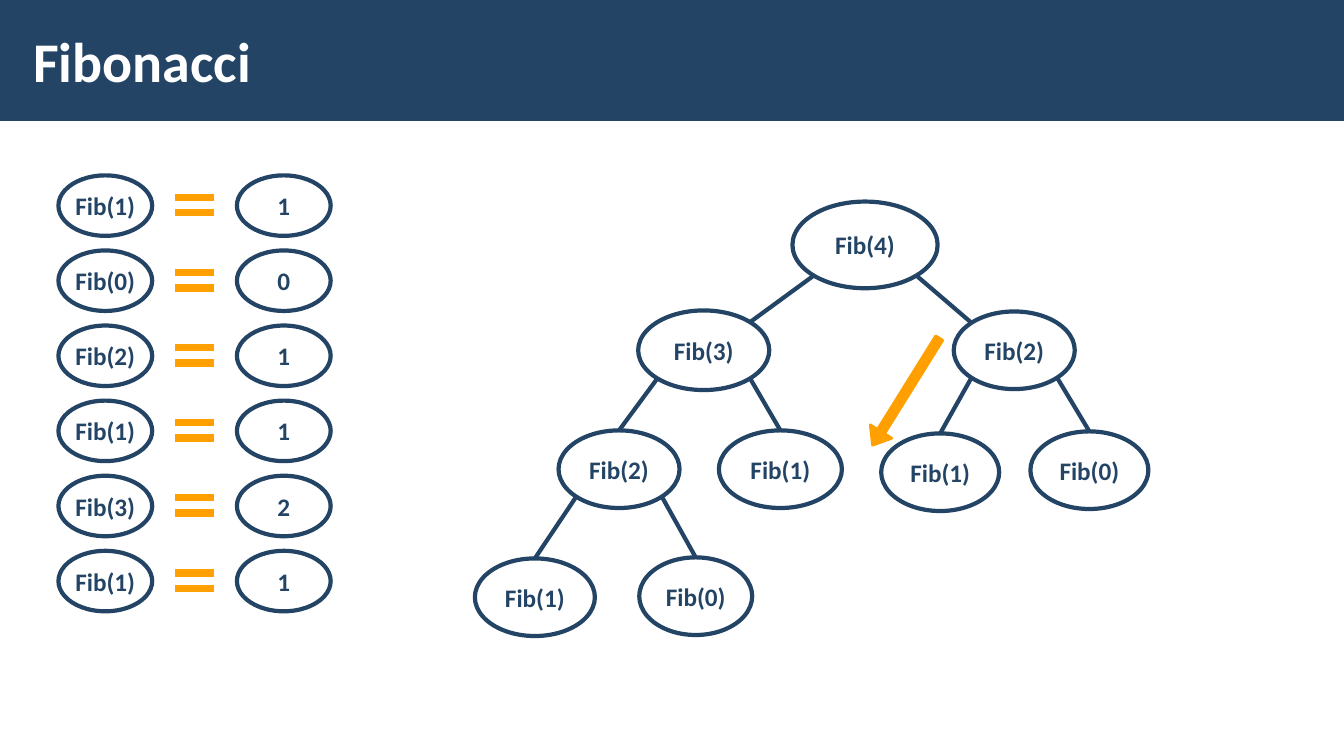
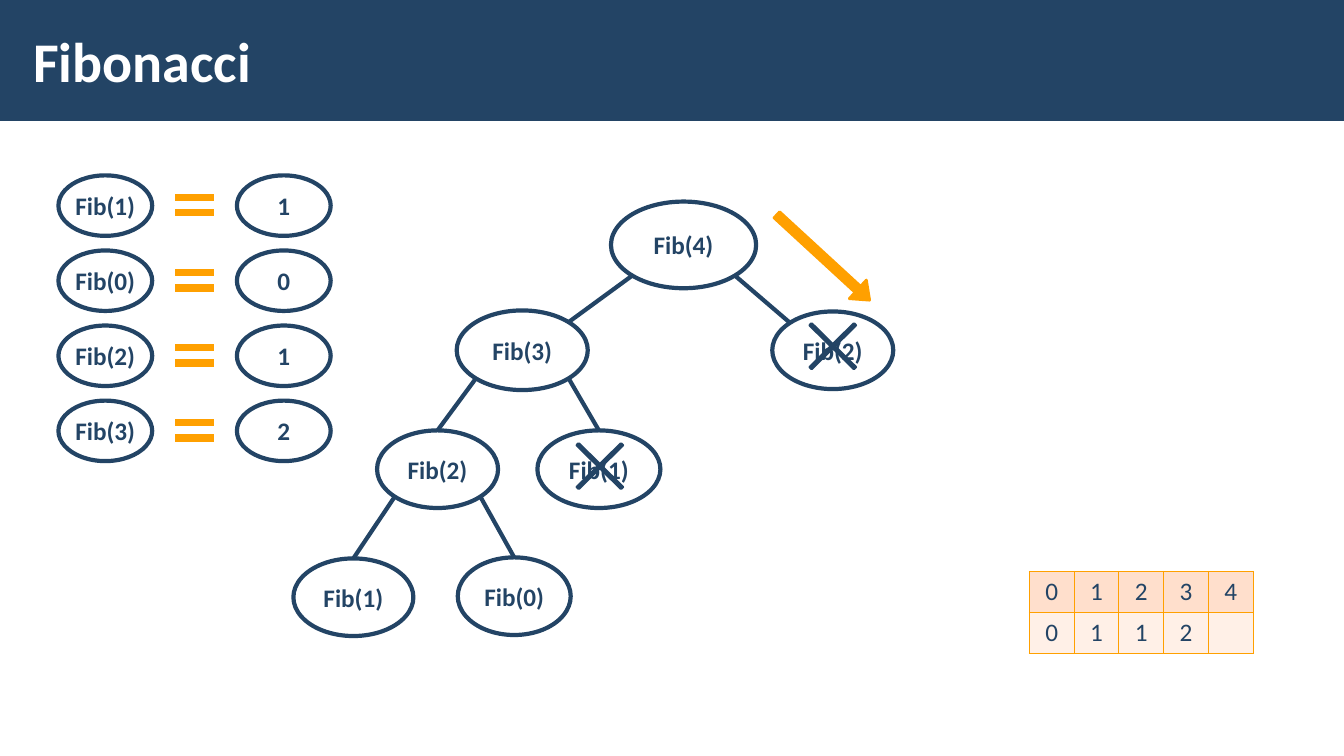
"""Build two slides that evaluate Fibonacci as a call tree."""
import math

from lxml import etree
from pptx import Presentation
from pptx import util as u
from pptx.dml import color
from pptx.enum import shapes, text
from pptx.oxml import ns

COLORS = {
    "navy": "234465",
    "orange": "FFA000",
    "white": "FFFFFF",
    "header": "FFDFCC",
    "body": "FFF0E7",
}
KIND = shapes.MSO_SHAPE

NODES = {
    "root": ("Fib(4)", 7.86, 2, 1.44, 0.86),
    "l": ("Fib(3)", 6.33, 3.08, 1.3, 0.79),
    "r": ("Fib(2)", 9.46, 3.09, 1.2, 0.77),
    "ll": ("Fib(2)", 5.54, 4.27, 1.2, 0.77),
    "lr": ("Fib(1)", 7.13, 4.27, 1.22, 0.77),
    "lll": ("Fib(1)", 4.71, 5.54, 1.19, 0.77),
    "llr": ("Fib(0)", 6.34, 5.53, 1.12, 0.77),
    "rl": ("Fib(1)", 8.74, 4.3, 1.17, 0.77),
    "rr": ("Fib(0)", 10.22, 4.28, 1.17, 0.77),
}


class Deck:
    """Hold the style and the current slide."""

    font = "Calibri"

    def __init__(self):
        self.prs = Presentation()
        self.prs.slide_width = u.Inches(13.33)
        self.prs.slide_height = u.Inches(7.5)

    def rgb(self, name):
        return color.RGBColor.from_string(COLORS[name])

    def style(self, p, size, name, bold=True, align=text.PP_ALIGN.CENTER):
        p.alignment = align
        p.font.name = self.font
        p.font.size = u.Pt(size)
        p.font.bold = bold
        p.font.color.rgb = self.rgb(name)

    def new_slide(self, title):
        self.s = self.prs.slides.add_slide(self.prs.slide_layouts[6])
        self.shape(KIND.RECTANGLE, 0, 0, 13.33, 1.2, "navy")
        box = self.s.shapes.add_textbox(*map(u.Inches, (0.21, 0.11, 10.63, 0.97)))
        tf = box.text_frame
        tf.word_wrap = True
        tf.vertical_anchor = text.MSO_ANCHOR.MIDDLE
        tf.margin_left = tf.margin_right = u.Inches(0.12)
        tf.margin_top = tf.margin_bottom = u.Inches(0.04)
        tf.text = title
        self.style(tf.paragraphs[0], 40, "white", align=text.PP_ALIGN.LEFT)

    def shape(self, kind, x, y, w, h, fill, line=None, width=2, adj=(), rot=0):
        sp = self.s.shapes.add_shape(kind, *map(u.Inches, (x, y, w, h)))
        sp.shadow.inherit = False
        sp.rotation = rot
        for i, value in enumerate(adj):
            sp.adjustments[i] = value
        sp.fill.solid()
        sp.fill.fore_color.rgb = self.rgb(fill)
        if line:
            sp.line.color.rgb = self.rgb(line)
            sp.line.width = u.Pt(width)
        else:
            sp.line.fill.background()
        return sp

    def node(self, label, x, y, w, h):
        sp = self.shape(KIND.OVAL, x, y, w, h, "white", "navy", 3)
        clr = sp.element.spPr.find(ns.qn("a:solidFill")).find(ns.qn("a:srgbClr"))
        etree.SubElement(clr, ns.qn("a:alpha")).set("val", "50000")
        tf = sp.text_frame
        tf.vertical_anchor = text.MSO_ANCHOR.MIDDLE
        tf.margin_left = tf.margin_right = 0
        tf.margin_top = tf.margin_bottom = u.Inches(0.04)
        tf.text = label
        self.style(tf.paragraphs[0], 18, "navy")
        return sp

    def rim(self, sp, dx, dy):
        k = math.sqrt(0.5) / 2
        return (int(sp.left + sp.width * (0.5 + dx * k)),
                int(sp.top + sp.height * (0.5 + dy * k)))

    def edge(self, parent, child, side, to_top):
        cx = self.s.shapes.add_connector(
            shapes.MSO_CONNECTOR.STRAIGHT,
            *self.rim(parent, side, 1), *self.rim(child, -side, -1))
        if to_top:
            cx.end_connect(child, 0)
        cx.line.color.rgb = self.rgb("navy")
        cx.line.width = u.Pt(3)
        etree.SubElement(cx.element.spPr, ns.qn("a:effectLst"))

    def tree(self, keys, shift=0):
        placed = {}
        for key in keys:
            label, x, y, w, h = NODES[key]
            placed[key] = self.node(label, x + shift, y, w, h)
        for key in keys[1:]:
            parent = placed[key[:-1] or "root"]
            side = -1 if key.endswith("l") else 1
            self.edge(parent, placed[key], side, len(key) > 1)

    def results(self, rows):
        for i, (n, value) in enumerate(rows):
            y = 1.74 + 0.745 * i
            self.node(f"Fib({n})", 0.58, y, 0.93, 0.6)
            self.shape(KIND.MATH_EQUAL, 1.65, y + 0.08, 0.56, 0.43,
                       "orange", "white")
            self.node(str(value), 2.35, y, 0.93, 0.6)

    def arrow(self, x, y, rot):
        self.shape(KIND.RIGHT_ARROW, x, y, 1.25, 0.25, "orange", "orange",
                   adj=(0.324, 0.632), rot=rot)

    def cross(self, x, y):
        self.shape(KIND.MATH_MULTIPLY, x, y, 0.84, 0.83, "navy", "navy",
                   adj=(0.028,))

    def border(self, cell):
        tcPr = cell._tc.get_or_add_tcPr()
        for side in "LRTB":
            ln = etree.SubElement(tcPr, ns.qn(f"a:ln{side}"), w=str(u.Pt(1)))
            fill = etree.SubElement(ln, ns.qn("a:solidFill"))
            etree.SubElement(fill, ns.qn("a:srgbClr"), val=COLORS["orange"])

    def table(self, x, y, rows, col_w, row_h):
        cols = len(rows[0])
        size = (x, y, cols * col_w, len(rows) * row_h)
        tbl = self.s.shapes.add_table(len(rows), cols, *map(u.Inches, size)).table
        tbl.first_row = tbl.horz_banding = False
        for r, (values, fill) in enumerate(zip(rows, ("header", "body"))):
            for c, value in enumerate(values):
                cell = tbl.cell(r, c)
                self.border(cell)
                cell.fill.solid()
                cell.fill.fore_color.rgb = self.rgb(fill)
                cell.text = value
                self.style(cell.text_frame.paragraphs[0], 18, "navy", bold=False)


def main():
    deck = Deck()

    deck.new_slide("Fibonacci")
    deck.tree(list(NODES))
    deck.results([(1, 1), (0, 0), (2, 1), (1, 1), (3, 2), (1, 1)])
    deck.arrow(8.36, 3.76, 121.9)

    deck.new_slide("Fibonacci")
    deck.tree([key for key in NODES if key not in ("rl", "rr")], shift=-1.8)
    deck.results([(1, 1), (0, 0), (2, 1), (3, 2)])
    deck.arrow(7.54, 2.43, 42.6)
    deck.table(10.21, 5.67, [list("01234"), [*"0112", ""]], 0.444, 0.405)
    deck.cross(7.84, 3.02)
    deck.cross(5.53, 4.21)

    deck.prs.save("out.pptx")


if __name__ == "__main__":
    main()
